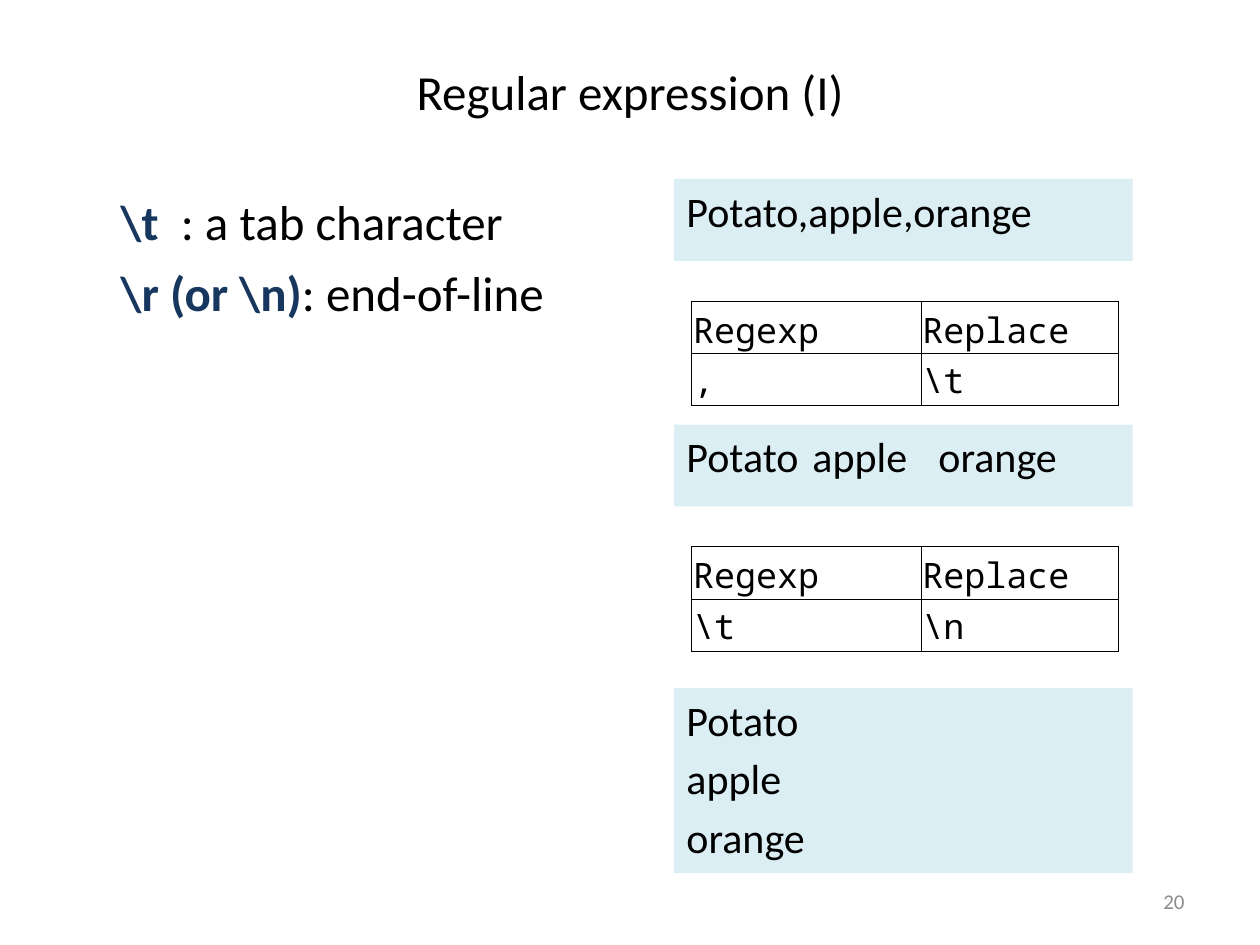
"""Build a slide on tab and end-of-line characters in regular expressions."""
from dataclasses import dataclass

import pptx
import pptx.dml.color
import pptx.enum.shapes
import pptx.enum.text
import pptx.oxml
import pptx.oxml.ns
import pptx.util
from pptx.util import Inches

RGBColor = pptx.dml.color.RGBColor
Anchor = pptx.enum.text.MSO_ANCHOR
Align = pptx.enum.text.PP_ALIGN

BLACK = RGBColor(0x00, 0x00, 0x00)
NAVY = RGBColor(0x17, 0x37, 0x5E)
PALE_BLUE = RGBColor(0xDB, 0xEE, 0xF4)
GRAY = RGBColor(0x8C, 0x8C, 0x8C)
BODY_FONT = "Calibri"
CODE_FONT = "Noto Sans Mono"


@dataclass(frozen=True)
class Example:
    top: float
    height: float
    lines: tuple[str, ...]


@dataclass(frozen=True)
class Replacement:
    top: float
    pattern: str
    substitute: str


DEFINITIONS = ((r"\t", "  : a tab character"), (r"\r (or \n)", ": end-of-line"))
EXAMPLES = (
    Example(1.42, 0.65, ("Potato,apple,orange",)),
    Example(3.37, 0.65, ("Potato\tapple\torange",)),
    Example(5.46, 1.47, ("Potato", "apple", "orange")),
)
REPLACEMENTS = (Replacement(2.39, ",", r"\t"), Replacement(4.34, r"\t", r"\n"))


def set_font(font, size: float, color: RGBColor, name: str = BODY_FONT) -> None:
    font.name = name
    font.size = pptx.util.Pt(size)
    font.color.rgb = color


def place(shape, left: float, top: float, width: float, height: float) -> None:
    shape.left, shape.top = Inches(left), Inches(top)
    shape.width, shape.height = Inches(width), Inches(height)


def add_title(slide, text: str) -> None:
    title = slide.shapes.title
    place(title, 0.5, 0.3, 9, 0.85)
    title.text_frame.text = text
    title.text_frame.vertical_anchor = Anchor.MIDDLE
    paragraph = title.text_frame.paragraphs[0]
    paragraph.alignment = Align.CENTER
    set_font(paragraph.font, 28, BLACK)


def add_definitions(slide) -> None:
    box = slide.shapes.add_textbox(Inches(0.86), Inches(1.38), Inches(4.63), Inches(1.22))
    frame = box.text_frame
    frame.word_wrap = True
    frame.text = "\n" * (len(DEFINITIONS) - 1)
    for paragraph, (symbol, meaning) in zip(frame.paragraphs, DEFINITIONS):
        paragraph.line_spacing = 1.2
        for text, color, bold in ((symbol, NAVY, True), (meaning, BLACK, False)):
            run = paragraph.add_run()
            run.text = text
            run.font.bold = bold
            set_font(run.font, 28, color)


def add_example(slide, example: Example) -> None:
    shape = slide.shapes.add_shape(
        pptx.enum.shapes.MSO_SHAPE.RECTANGLE,
        Inches(5.35), Inches(example.top), Inches(3.64), Inches(example.height),
    )
    shape.shadow.inherit = False
    shape.fill.solid()
    shape.fill.fore_color.rgb = PALE_BLUE
    shape.line.fill.background()
    frame = shape.text_frame
    frame.word_wrap = True
    frame.vertical_anchor = Anchor.TOP
    frame.text = "\n".join(example.lines)
    for paragraph in frame.paragraphs:
        paragraph.alignment = Align.LEFT
        paragraph.space_before = pptx.util.Pt(4.8)
        set_font(paragraph.font, 24, BLACK)


def add_borders(cell) -> None:
    properties = cell._tc.get_or_add_tcPr()
    for side in ("lnL", "lnR", "lnT", "lnB"):
        properties.append(pptx.oxml.parse_xml(
            f'<a:{side} {pptx.oxml.ns.nsdecls("a")} w="6350"><a:solidFill>'
            f'<a:srgbClr val="{BLACK}"/></a:solidFill></a:{side}>'
        ))


def add_replacement(slide, replacement: Replacement) -> None:
    table = slide.shapes.add_table(
        2, 2, Inches(5.49), Inches(replacement.top), Inches(3.39), Inches(0.83)
    ).table
    table.first_row = table.horz_banding = False
    for column, width in zip(table.columns, (1.82, 1.57)):
        column.width = Inches(width)
    rows = (
        (("Regexp", "Replace"), Anchor.BOTTOM),
        ((replacement.pattern, replacement.substitute), Anchor.MIDDLE),
    )
    for row, (texts, anchor) in zip(table.rows, rows):
        for cell, text in zip(row.cells, texts):
            cell.text = text
            cell.vertical_anchor = anchor
            cell.margin_left = cell.margin_right = cell.margin_top = Inches(0.01)
            cell.margin_bottom = 0
            set_font(cell.text_frame.paragraphs[0].font, 20, BLACK, CODE_FONT)
            add_borders(cell)
            cell.fill.background()


def add_page_number(slide, number: str) -> None:
    box = slide.shapes.add_textbox(Inches(7.17), Inches(6.95), Inches(2.33), Inches(0.4))
    frame = box.text_frame
    frame.word_wrap = True
    frame.vertical_anchor = Anchor.MIDDLE
    frame.text = number
    paragraph = frame.paragraphs[0]
    paragraph.alignment = Align.RIGHT
    set_font(paragraph.font, 12, GRAY)


def main() -> None:
    presentation = pptx.Presentation()
    presentation.slide_width, presentation.slide_height = Inches(10), Inches(7.5)
    slide = presentation.slides.add_slide(presentation.slide_layouts[5])
    add_title(slide, "Regular expression (I)")
    add_definitions(slide)
    for example in EXAMPLES:
        add_example(slide, example)
    for replacement in REPLACEMENTS:
        add_replacement(slide, replacement)
    add_page_number(slide, "20")
    presentation.save("out.pptx")


if __name__ == "__main__":
    main()
